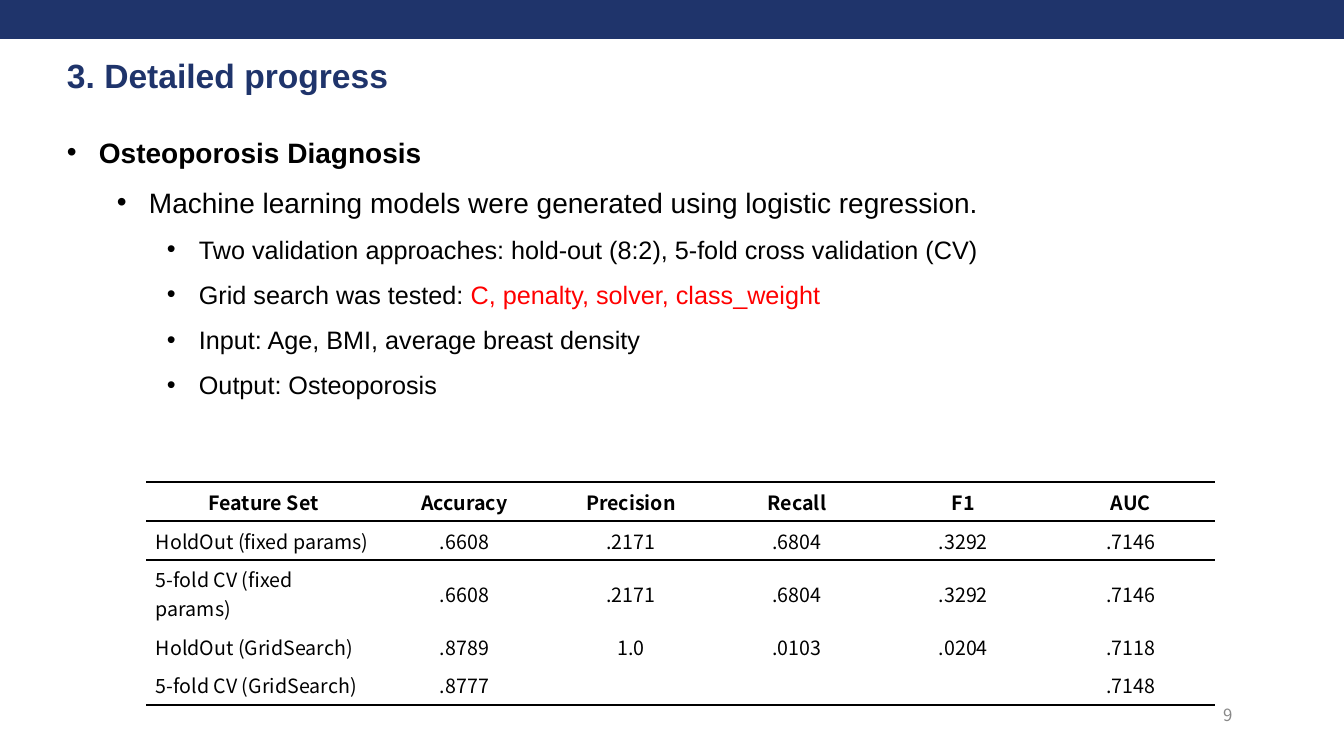
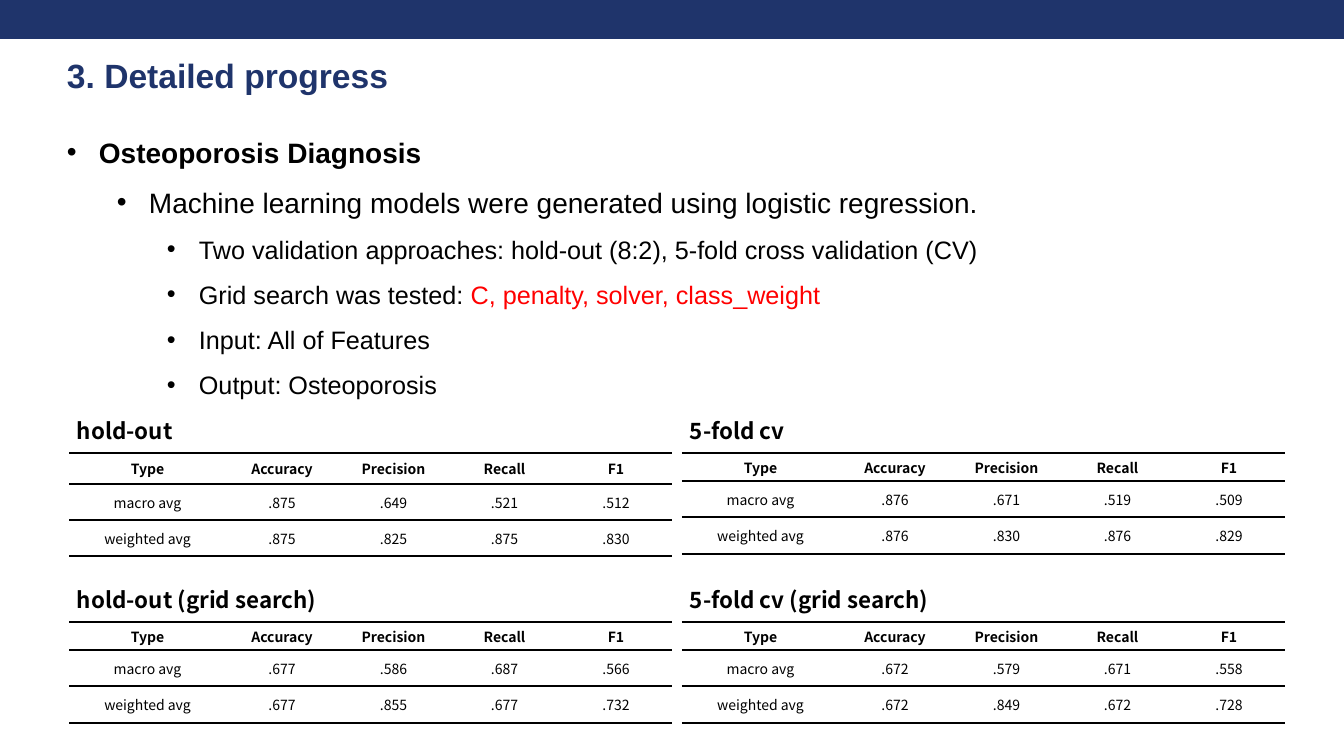
"""Build two progress slides on osteoporosis diagnosis."""
from dataclasses import dataclass

from lxml import etree
from pptx import Presentation
from pptx.dml.color import RGBColor
from pptx.enum import shapes, text
from pptx.oxml.ns import qn
from pptx.util import Pt

SCALE = 914400 / 100.8
PLAIN = "{2D5ABB26-0587-4C30-8999-92F81FD0307C}"
HEAD = ("Accuracy", "Precision", "Recall", "F1")


@dataclass(frozen=True)
class Theme:
    """Colours, fonts and type sizes of the deck."""
    navy: str = "1F346B"
    black: str = "000000"
    white: str = "FFFFFF"
    red: str = "FF0000"
    gray: str = "888888"
    sans: str = "Arial"
    noto: str = "Noto Sans CJK KR"
    title: int = 24
    lead: int = 20
    item: int = 18
    label: int = 16
    data: int = 14
    page: int = 12
    small: int = 10
    rule: float = 2.25


T = Theme()


@dataclass(frozen=True)
class Box:
    """A place on the slide, in px."""
    x: int
    y: int
    w: int
    h: int


@dataclass(frozen=True)
class Item:
    """A bullet line with an optional red ending."""
    level: int
    words: str
    mark: str = ""


@dataclass(frozen=True)
class Grid:
    """A ruled table, with widths and heights in px."""
    x: int
    y: int
    cols: tuple[int, ...]
    rows: tuple[int, ...]
    cells: tuple[tuple[str, ...], ...]
    size: int
    left: bool = False


@dataclass(frozen=True)
class Panel:
    """A captioned score table."""
    label: str
    macro: tuple[str, ...]
    mean: tuple[str, ...]
    rows: tuple[int, ...] = (28, 36, 37)


PANELS = (
    Panel("hold-out", (".875", ".649", ".521", ".512"),
          (".875", ".825", ".875", ".830"), (31, 36, 36)),
    Panel("5-fold cv", (".876", ".671", ".519", ".509"),
          (".876", ".830", ".876", ".829")),
    Panel("hold-out (grid search)", (".677", ".586", ".687", ".566"),
          (".677", ".855", ".677", ".732")),
    Panel("5-fold cv (grid search)", (".672", ".579", ".671", ".558"),
          (".672", ".849", ".672", ".728")),
)

SCORES = Grid(
    146, 482, (235, 167, 166, 166, 167, 168), (39, 39, 67, 39, 39),
    (
        ("Feature Set", *HEAD, "AUC"),
        ("HoldOut (fixed params)", ".6608", ".2171", ".6804", ".3292", ".7146"),
        ("5-fold CV (fixed params)", ".6608", ".2171", ".6804", ".3292", ".7146"),
        ("HoldOut (GridSearch)", ".8789", "1.0", ".0103", ".0204", ".7118"),
        ("5-fold CV (GridSearch)", ".8777", "", "", "", ".7148"),
    ), T.data, True)


def px(n: int) -> int:
    """Turn px into EMU."""
    return round(n * SCALE)


def rgb(code: str) -> RGBColor:
    """Read a hex colour."""
    return RGBColor.from_string(code)


def style(para, face: str, size: int, tint: str, bold: bool = False) -> None:
    """Set the font of a paragraph."""
    font = para.font
    font.name, font.size, font.bold = face, Pt(size), bold
    font.color.rgb = rgb(tint)


def frame(slide, box: Box):
    """Add a text box without insets and return its frame."""
    area = slide.shapes.add_textbox(px(box.x), px(box.y), px(box.w), px(box.h))
    body = area.text_frame
    body.word_wrap = True
    body.margin_left = body.margin_right = 0
    body.margin_top = body.margin_bottom = 0
    return body


def line(slide, box: Box, words: str, face: str, size: int, tint: str,
         bold: bool = False):
    """Add one line of text and return its paragraph."""
    para = frame(slide, box).paragraphs[0]
    para.text = words
    style(para, face, size, tint, bold)
    return para


def base(deck, page: str):
    """Add a slide with band, title and page number."""
    slide = deck.slides.add_slide(deck.slide_layouts[6])
    band = slide.shapes.add_shape(
        shapes.MSO_SHAPE.RECTANGLE, 0, 0, px(1344), px(39))
    band.shadow.inherit = False
    band.fill.solid()
    band.fill.fore_color.rgb = rgb(T.navy)
    band.line.fill.background()
    title = line(slide, Box(67, 50, 1252, 45), "3. Detailed progress",
                 T.sans, T.title, T.navy, True)
    title.line_spacing = Pt(32)
    line(slide, Box(1223, 705, 24, 25), page, T.noto, T.page, T.gray)
    return slide


def outline(slide, source: str) -> None:
    """Write the bullet list for one input."""
    items = (
        Item(0, "Osteoporosis Diagnosis"),
        Item(1, "Machine learning models were generated using logistic regression."),
        Item(2, "Two validation approaches: hold-out (8:2), 5-fold cross validation (CV)"),
        Item(2, "Grid search was tested: ", "C, penalty, solver, class_weight"),
        Item(2, f"Input: {source}"),
        Item(2, "Output: Osteoporosis"),
    )
    body = frame(slide, Box(67, 119, 1227, 281))
    for i, item in enumerate(items):
        para = body.add_paragraph() if i else body.paragraphs[0]
        para.level = item.level
        props = para._p.get_or_add_pPr()
        props.set("marL", str(px(32 + 50 * item.level)))
        props.set("indent", str(px(-32)))
        etree.SubElement(props, qn("a:buFont"), typeface=T.sans)
        etree.SubElement(props, qn("a:buChar"), char="•")
        deep = item.level == 2
        para.line_spacing = Pt(32.3 if deep else 35.7)
        style(para, T.sans, T.item if deep else T.lead, T.black, item.level == 0)
        para.add_run().text = item.words
        if item.mark:
            run = para.add_run()
            run.text = item.mark
            run.font.color.rgb = rgb(T.red)


def rule(cell, side: str) -> None:
    """Draw a black border on one side of a cell."""
    edge = etree.SubElement(cell._tc.get_or_add_tcPr(), qn(f"a:ln{side}"),
                            w=str(Pt(T.rule)))
    fill = etree.SubElement(edge, qn("a:solidFill"))
    etree.SubElement(fill, qn("a:srgbClr"), val=T.black)


def table(slide, grid: Grid) -> None:
    """Draw a table ruled above and below its head and at its foot."""
    last = len(grid.rows) - 1
    tab = slide.shapes.add_table(
        len(grid.rows), len(grid.cols), px(grid.x), px(grid.y),
        px(sum(grid.cols)), px(sum(grid.rows))).table
    tab.first_row = tab.horz_banding = False
    next(tab._tbl.iter(qn("a:tableStyleId"))).text = PLAIN
    for col, wide in zip(tab.columns, grid.cols):
        col.width = px(wide)
    for r, (row, high) in enumerate(zip(tab.rows, grid.rows)):
        row.height = px(high)
        for c, cell in enumerate(row.cells):
            if r < 2:
                rule(cell, "T")
            if r in (0, last):
                rule(cell, "B")
            cell.fill.solid()
            cell.fill.fore_color.rgb = rgb(T.white)
            cell.margin_left = cell.margin_right = px(10)
            cell.margin_top = cell.margin_bottom = px(3)
            cell.vertical_anchor = text.MSO_ANCHOR.MIDDLE
            para = cell.text_frame.paragraphs[0]
            side = grid.left and r > 0 and c == 0
            para.alignment = text.PP_ALIGN.LEFT if side else text.PP_ALIGN.CENTER
            style(para, T.noto, grid.size, T.black, r == 0)
            words = grid.cells[r][c]
            if words:
                para.add_run().text = words
            else:
                etree.SubElement(para._p, qn("a:endParaRPr"),
                                 sz=str(grid.size * 100))


def panel(slide, spot: int, part: Panel) -> None:
    """Draw one captioned table in a two by two layout."""
    down, over = divmod(spot, 2)
    x, y = 69 + 613 * over, 453 + 169 * down
    line(slide, Box(x + 8, y - 36, 580, 33), part.label,
         T.noto, T.label, T.black, True)
    cells = (("Type", *HEAD), ("macro avg", *part.macro),
             ("weighted avg", *part.mean))
    table(slide, Grid(x, y, (157, 112, 111, 111, 112), part.rows, cells, T.small))


def main() -> None:
    """Build and save the deck."""
    deck = Presentation()
    deck.slide_width, deck.slide_height = px(1344), px(756)
    slide = base(deck, "9")
    outline(slide, "Age, BMI, average breast density")
    table(slide, SCORES)
    slide = base(deck, "11")
    outline(slide, "All of Features")
    for spot, part in enumerate(PANELS):
        panel(slide, spot, part)
    deck.save("out.pptx")


if __name__ == "__main__":
    main()
